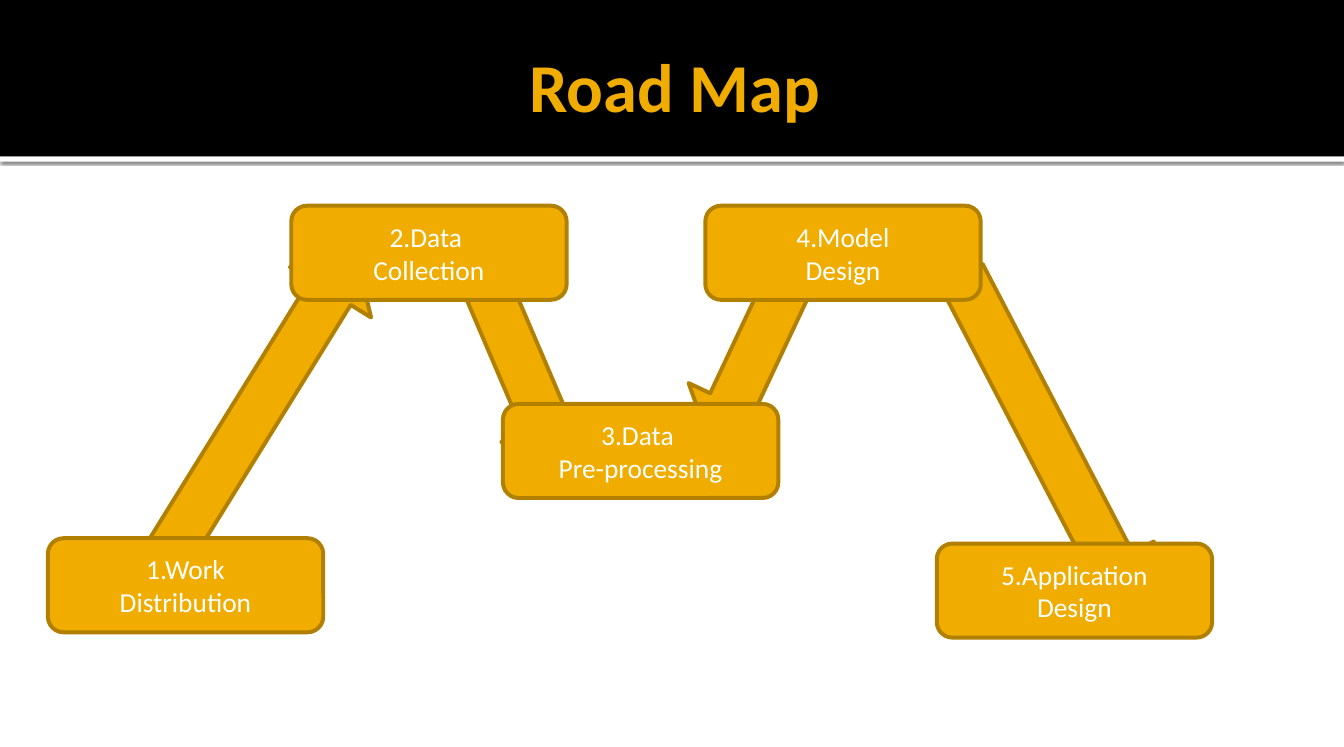
from lxml import etree
from pptx import Presentation, util as u
from pptx.dml import color
from pptx.enum import shapes, text
from pptx.oxml import ns

AMBER, BRONZE, BLACK, WHITE = "F0AD00", "B28000", "000000", "FFFFFF"
FONT = "Calibri"
CARD_SIZE = (20.49, 16.08)
CARDS = [
    (21.67, 7.52, ("2.Data ", "Collection")),
    (3.56, 64.33, ("1.Work", "Distribution")),
    (37.42, 41.38, ("3.Data ", "Pre-processing")),
    (52.48, 7.52, ("4.Model", "Design")),
    (69.7, 65.24, ("5.Application", "Design")),
]
ARROW_HEIGHT = 16.34
ARROWS = [
    (64.05, 39.43, 27.77, 62.5),
    (48.87, 25.81, 14.16, 115.2),
    (6.43, 32.81, 26.24, 301.8),
    (32.11, 29.05, 14.16, 66.9),
]


def rgb(value):
    return color.RGBColor.from_string(value)


def place(box, left, top, width, height):
    box_left, box_top, box_width, box_height = box
    return (
        u.Emu(round(box_left + box_width * left / 100)),
        u.Emu(round(box_top + box_height * top / 100)),
        u.Emu(round(box_width * width / 100)),
        u.Emu(round(box_height * height / 100)),
    )


def add_block(slide, kind, position, fill, line=None):
    shape = slide.shapes.add_shape(kind, *position)
    shape.shadow.inherit = False
    shape.fill.solid()
    shape.fill.fore_color.rgb = rgb(fill)
    if line:
        shape.line.color.rgb = rgb(line)
        shape.line.width = u.Pt(3.78)
    else:
        shape.line.fill.background()
    return shape


def add_shadow(shape):
    effects = shape.element.spPr.find(ns.qn("a:effectLst"))
    shadow = etree.SubElement(
        effects, ns.qn("a:outerShdw"), blurRad=str(u.Pt(2.5)),
        dist=str(u.Pt(0.8)), dir="5400000", rotWithShape="0")
    tint = etree.SubElement(shadow, ns.qn("a:srgbClr"), val=BLACK)
    etree.SubElement(tint, ns.qn("a:alpha"), val="60000")


def write_lines(shape, lines, size, tone, bold=False, right_inset=0.14):
    frame = shape.text_frame
    frame.word_wrap = True
    frame.auto_size = text.MSO_AUTO_SIZE.NONE
    frame.vertical_anchor = text.MSO_ANCHOR.MIDDLE
    frame.margin_left, frame.margin_right = u.Inches(0.14), u.Inches(right_inset)
    frame.margin_top = frame.margin_bottom = u.Inches(0.07)
    for index, line in enumerate(lines):
        paragraph = frame.add_paragraph() if index else frame.paragraphs[0]
        paragraph.alignment = text.PP_ALIGN.CENTER
        run = paragraph.add_run()
        run.text = line
        run.font.name = FONT
        run.font.size = u.Pt(size)
        run.font.bold = bold
        run.font.color.rgb = rgb(tone)


def build_header(slide, box):
    rectangle = shapes.MSO_SHAPE.RECTANGLE
    strip = add_block(slide, rectangle, place(box, 0, 96.71, 100, 3.29), WHITE)
    add_shadow(strip)
    band = add_block(slide, rectangle, place(box, 0, 0, 100, 96.71), BLACK)
    title = slide.shapes.title
    for backdrop in (strip, band):
        title.element.addprevious(backdrop.element)
    title.left, title.top, title.width, title.height = place(
        box, 5.02, 10.33, 90.01, 84.51)
    write_lines(title, ["Road Map"], 65, AMBER, bold=True, right_inset=0.07)


def build_road_map(slide, box):
    for left, top, width, angle in ARROWS:
        arrow = add_block(
            slide, shapes.MSO_SHAPE.RIGHT_ARROW,
            place(box, left, top, width, ARROW_HEIGHT), AMBER, BRONZE)
        arrow.rotation = angle
    for left, top, lines in CARDS:
        card = add_block(
            slide, shapes.MSO_SHAPE.ROUNDED_RECTANGLE,
            place(box, left, top, *CARD_SIZE), AMBER, BRONZE)
        write_lines(card, lines, 26, WHITE)


def main():
    presentation = Presentation()
    presentation.slide_width = u.Cm(45)
    presentation.slide_height = u.Cm(25)
    slide = presentation.slides.add_slide(presentation.slide_layouts[5])
    slide.background.fill.solid()
    slide.background.fill.fore_color.rgb = rgb(WHITE)
    page = (0, 0, presentation.slide_width, presentation.slide_height)
    build_header(slide, place(page, 0, 0, 100, 21.65))
    build_road_map(slide, place(page, 0, 21.65, 100, 78.35))
    presentation.save("out.pptx")


if __name__ == "__main__":
    main()
